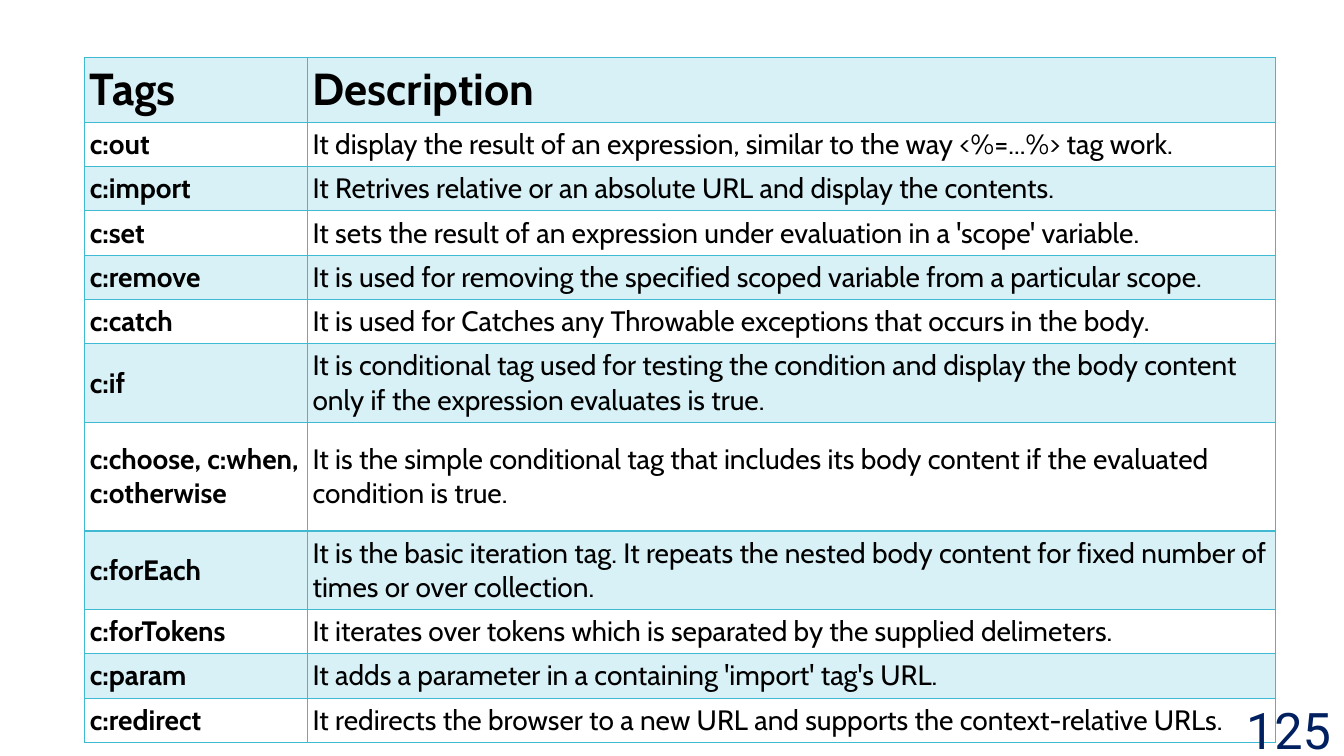
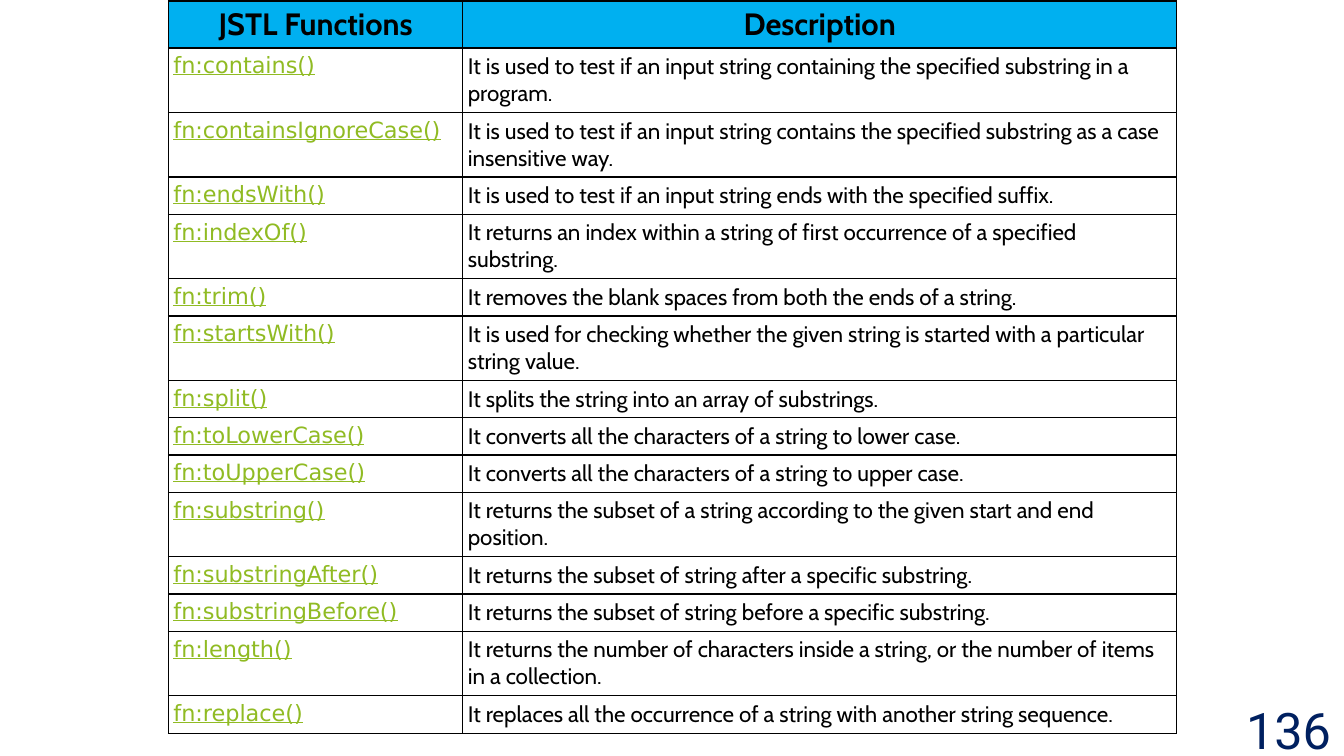
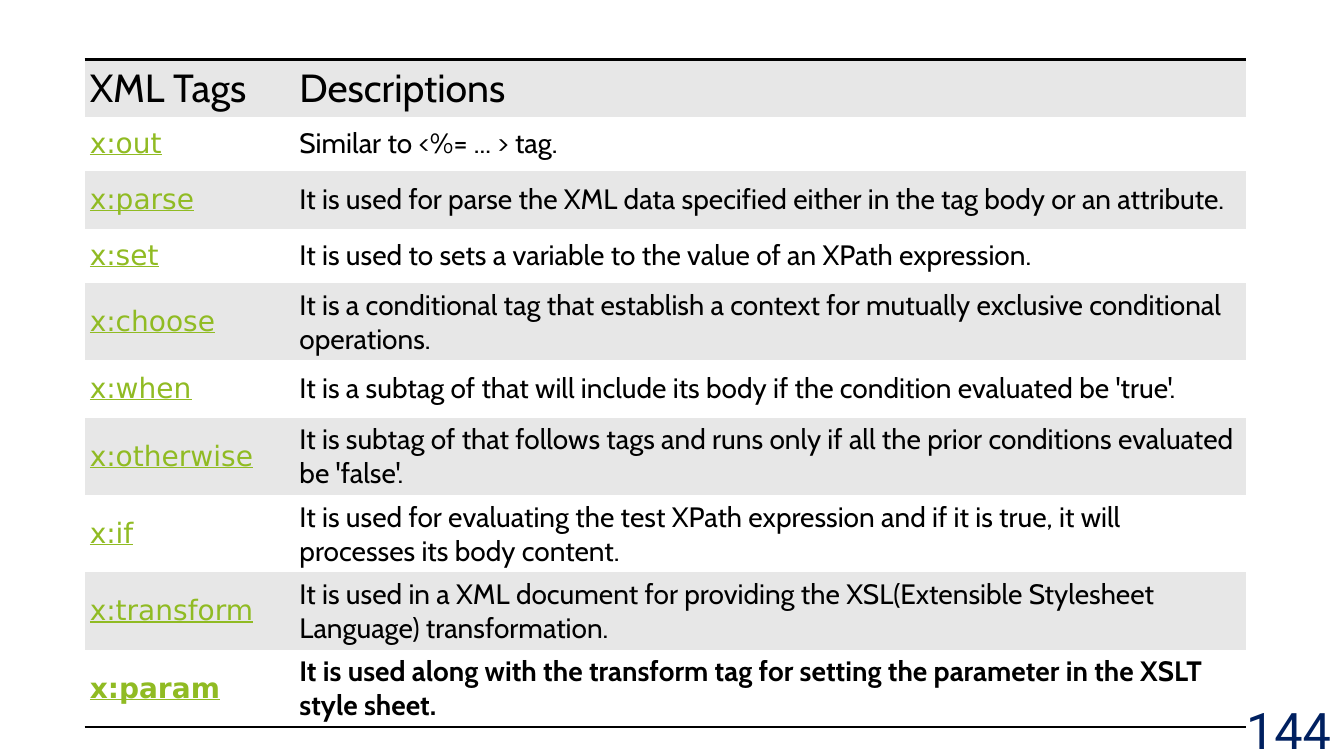
from dataclasses import dataclass, field

from lxml import etree
from pptx import Presentation
from pptx.dml.color import RGBColor
from pptx.enum.text import MSO_ANCHOR, PP_ALIGN
from pptx.oxml.ns import qn
from pptx.util import Inches, Pt

TOP, MIDDLE = MSO_ANCHOR.TOP, MSO_ANCHOR.MIDDLE
LEFT, CENTER = PP_ALIGN.LEFT, PP_ALIGN.CENTER
RIGHT, JUSTIFY = PP_ALIGN.RIGHT, PP_ALIGN.JUSTIFY
BLANK_LAYOUT = 6
NO_STYLE = "{2D5ABB26-0587-4C30-8999-92F81FD0307C}"
EDGES = ("lnL", "lnR", "lnT", "lnB")


@dataclass(frozen=True)
class Theme:
    """Colours, fonts and sizes shared by the deck."""
    black: str = "000000"
    white: str = "FFFFFF"
    teal: str = "40BAD2"
    sky: str = "00B0F0"
    gray: str = "E7E7E7"
    link: str = "90BB23"
    navy: str = "002060"
    text_font: str = "Cabin"
    link_font: str = "DejaVu Sans"
    number_font: str = "Roboto"
    small: int = 16
    normal: int = 20
    head_small: int = 22
    head_medium: int = 28
    head_large: int = 32
    number: int = 36
    inset: float = 0.05
    tint: int = 20


THEME = Theme()


def text_format(size, bold=False):
    """Return the format of plain table text."""
    return {"name": THEME.text_font, "size": Pt(size), "bold": bold,
            "underline": False, "color": THEME.black}


def link_format(size):
    """Return the format of a link-like tag name."""
    return {**text_format(size), "name": THEME.link_font,
            "underline": True, "color": THEME.link}


@dataclass
class TableLook:
    """Formats, fills and rules of one table."""
    head: dict
    columns: tuple
    head_fill: str
    band_fill: str = ""
    opacity: int = 100
    line: str = THEME.black
    line_width: float = 1
    grid: bool = True
    head_anchor: int = MIDDLE
    body_anchor: int = MIDDLE
    head_align: int = LEFT
    aligns: tuple = (JUSTIFY, LEFT)
    last_row: dict = field(default_factory=dict)


TINTED = TableLook(
    head=text_format(THEME.head_large, True),
    columns=(text_format(THEME.normal, True), text_format(THEME.normal)),
    head_fill=THEME.teal, band_fill=THEME.teal, opacity=THEME.tint,
    line=THEME.teal, head_anchor=TOP, aligns=(LEFT, LEFT))
GRIDDED = TableLook(
    head=text_format(THEME.head_small, True),
    columns=(link_format(THEME.small), text_format(THEME.small)),
    head_fill=THEME.sky, body_anchor=TOP, head_align=CENTER)
RULED = TableLook(
    head=text_format(THEME.head_medium),
    columns=(link_format(THEME.normal), text_format(THEME.normal)),
    head_fill=THEME.gray, band_fill=THEME.gray, line_width=2, grid=False,
    last_row={"bold": True})

CORE_TAGS = (
    ("Tags", "Description"),
    ("c:out", "It display the result of an expression, similar to the way <%=...%> tag work."),
    ("c:import", "It Retrives relative or an absolute URL and display the contents."),
    ("c:set", "It sets the result of an expression under evaluation in a 'scope' variable."),
    ("c:remove", "It is used for removing the specified scoped variable from a particular scope."),
    ("c:catch", "It is used for Catches any Throwable exceptions that occurs in the body."),
    ("c:if", "It is conditional tag used for testing the condition and display the body "
             "content only if the expression evaluates is true."),
    ("c:choose, c:when, c:otherwise", "It is the simple conditional tag that includes its "
                                      "body content if the evaluated condition is true."),
    ("c:forEach", "It is the basic iteration tag. It repeats the nested body content for "
                  "fixed number of times or over collection."),
    ("c:forTokens", "It iterates over tokens which is separated by the supplied delimeters."),
    ("c:param", "It adds a parameter in a containing 'import' tag's URL."),
    ("c:redirect", "It redirects the browser to a new URL and supports the "
                   "context-relative URLs."),
)
FUNCTIONS = (
    ("JSTL Functions", "Description"),
    ("fn:contains()", "It is used to test if an input string containing the specified "
                      "substring in a program."),
    ("fn:containsIgnoreCase()", "It is used to test if an input string contains the "
                                "specified substring as a case insensitive way."),
    ("fn:endsWith()", "It is used to test if an input string ends with the specified suffix."),
    ("fn:indexOf()", "It returns an index within a string of first occurrence of a "
                     "specified substring."),
    ("fn:trim()", "It removes the blank spaces from both the ends of a string."),
    ("fn:startsWith()", "It is used for checking whether the given string is started with "
                        "a particular string value."),
    ("fn:split()", "It splits the string into an array of substrings."),
    ("fn:toLowerCase()", "It converts all the characters of a string to lower case."),
    ("fn:toUpperCase()", "It converts all the characters of a string to upper case."),
    ("fn:substring()", "It returns the subset of a string according to the given start "
                       "and end position."),
    ("fn:substringAfter()", "It returns the subset of string after a specific substring."),
    ("fn:substringBefore()", "It returns the subset of string before a specific substring."),
    ("fn:length()", "It returns the number of characters inside a string, or the number "
                    "of items in a collection."),
    ("fn:replace()", "It replaces all the occurrence of a string with another string sequence."),
)
XML_TAGS = (
    ("XML Tags", "Descriptions"),
    ("x:out", "Similar to <%= ... > tag."),
    ("x:parse", "It is used for parse the XML data specified either in the tag body or "
                "an attribute."),
    ("x:set", "It is used to sets a variable to the value of an XPath expression."),
    ("x:choose", "It is a conditional tag that establish a context for mutually exclusive "
                 "conditional operations."),
    ("x:when", "It is a subtag of that will include its body if the condition evaluated "
               "be 'true'."),
    ("x:otherwise", "It is subtag of that follows tags and runs only if all the prior "
                    "conditions evaluated be 'false'."),
    ("x:if", "It is used for evaluating the test XPath expression and if it is true, it "
             "will processes its body content."),
    ("x:transform", "It is used in a XML document for providing the XSL(Extensible "
                    "Stylesheet Language) transformation."),
    ("x:param", "It is used along with the transform tag for setting the parameter in the "
                "XSLT style sheet."),
)

PAGES = (
    {"number": "125", "look": TINTED, "rows": CORE_TAGS, "box": (0.84, 0.57, 11.81, 6.74),
     "tag_width": 2.21,
     "heights": (0.59, *[0.44] * 5, 0.76, 1.08, 0.76, *[0.44] * 3)},
    {"number": "136", "look": GRIDDED, "rows": FUNCTIONS, "box": (1.67, 0.01, 10, 7.22),
     "tag_width": 2.92,
     "heights": (0.46, 0.64, 0.64, 0.37, 0.64, 0.37, 0.64, *[0.37] * 3,
                 0.64, 0.37, 0.37, 0.64, 0.37)},
    {"number": "144", "look": RULED, "rows": XML_TAGS, "box": (0.84, 0.59, 11.52, 6.61),
     "tag_width": 2.08,
     "heights": (0.54, 0.54, 0.57, 0.54, *[0.57] * 6)},
)


def write_text(frame, text, text_style, align):
    """Write one formatted paragraph into a text frame."""
    para = frame.paragraphs[0]
    para.alignment = align
    span = para.add_run()
    span.text = text
    for name, value in text_style.items():
        if name == "color":
            span.font.color.rgb = RGBColor.from_string(value)
        else:
            setattr(span.font, name, value)


def draw_edges(cell, edges, look):
    """Draw the named cell borders in the line style of the table."""
    properties = cell._tc.get_or_add_tcPr()
    for edge in edges:
        line = etree.SubElement(properties, qn(f"a:{edge}"), w=str(Pt(look.line_width)))
        fill = etree.SubElement(line, qn("a:solidFill"))
        etree.SubElement(fill, qn("a:srgbClr"), val=look.line)


def fill_cell(cell, color, opacity):
    """Fill a cell with a colour, or leave it clear when there is none."""
    if not color:
        cell.fill.background()
        return
    cell.fill.solid()
    cell.fill.fore_color.rgb = RGBColor.from_string(color)
    if opacity < 100:
        swatch = cell._tc.tcPr.find(f".//{qn('a:solidFill')}[last()]/{qn('a:srgbClr')}")
        for swatch in cell._tc.tcPr.findall(f"{qn('a:solidFill')}/{qn('a:srgbClr')}"):
            etree.SubElement(swatch, qn("a:alpha"), val=str(opacity * 1000))


def format_cell(cell, text, row, column, last, look):
    """Apply the text, borders and fill that a cell's position calls for."""
    is_head = row == 0
    style = look.head if is_head else look.columns[column]
    if row == last:
        style = {**style, **look.last_row}
    inset = Inches(THEME.inset)
    settings = {"margin_left": inset, "margin_right": inset, "margin_top": inset,
                "margin_bottom": inset,
                "vertical_anchor": look.head_anchor if is_head else look.body_anchor}
    for name, value in settings.items():
        setattr(cell, name, value)
    write_text(cell.text_frame, text, style,
               look.head_align if is_head else look.aligns[column])
    rules = {0: ("lnT",), last: ("lnB",)}
    draw_edges(cell, EDGES if look.grid else rules.get(row, ()), look)
    band = look.band_fill if row % 2 == 0 else ""
    fill_cell(cell, look.head_fill if is_head else band, look.opacity)


def add_reference_table(page, box, rows, heights, tag_width, look):
    """Add a two-column table of tags and descriptions in the given box."""
    left, top, width, height = box
    table = page.shapes.add_table(len(rows), 2, Inches(left), Inches(top),
                                  Inches(width), Inches(height)).table
    table.first_row = table.horz_banding = False
    table._tbl.tblPr.find(qn("a:tableStyleId")).text = NO_STYLE
    for column, size in zip(table.columns, (tag_width, width - tag_width)):
        column.width = Inches(size)
    for row, (texts, size) in enumerate(zip(rows, heights)):
        table.rows[row].height = Inches(size)
        for column, text in enumerate(texts):
            format_cell(table.cell(row, column), text, row, column, len(rows) - 1, look)


def add_page_number(page, number, box=(11.63, 7.04, 1.67, 0.4)):
    """Add the large page number at the lower right."""
    frame = page.shapes.add_textbox(*map(Inches, box)).text_frame
    frame.word_wrap = True
    frame.vertical_anchor = MIDDLE
    write_text(frame, number, {"name": THEME.number_font, "size": Pt(THEME.number),
                               "color": THEME.navy}, RIGHT)


def add_table_page(deck, number, **table_parts):
    """Add a page holding one table and its page number."""
    page = deck.slides.add_slide(deck.slide_layouts[BLANK_LAYOUT])
    page.background.fill.solid()
    page.background.fill.fore_color.rgb = RGBColor.from_string(THEME.white)
    add_reference_table(page, **table_parts)
    add_page_number(page, number)


def main():
    """Build and save the deck."""
    deck = Presentation()
    deck.slide_width, deck.slide_height = Inches(13.33), Inches(7.5)
    for parts in PAGES:
        add_table_page(deck, **parts)
    deck.save("out.pptx")


if __name__ == "__main__":
    main()
